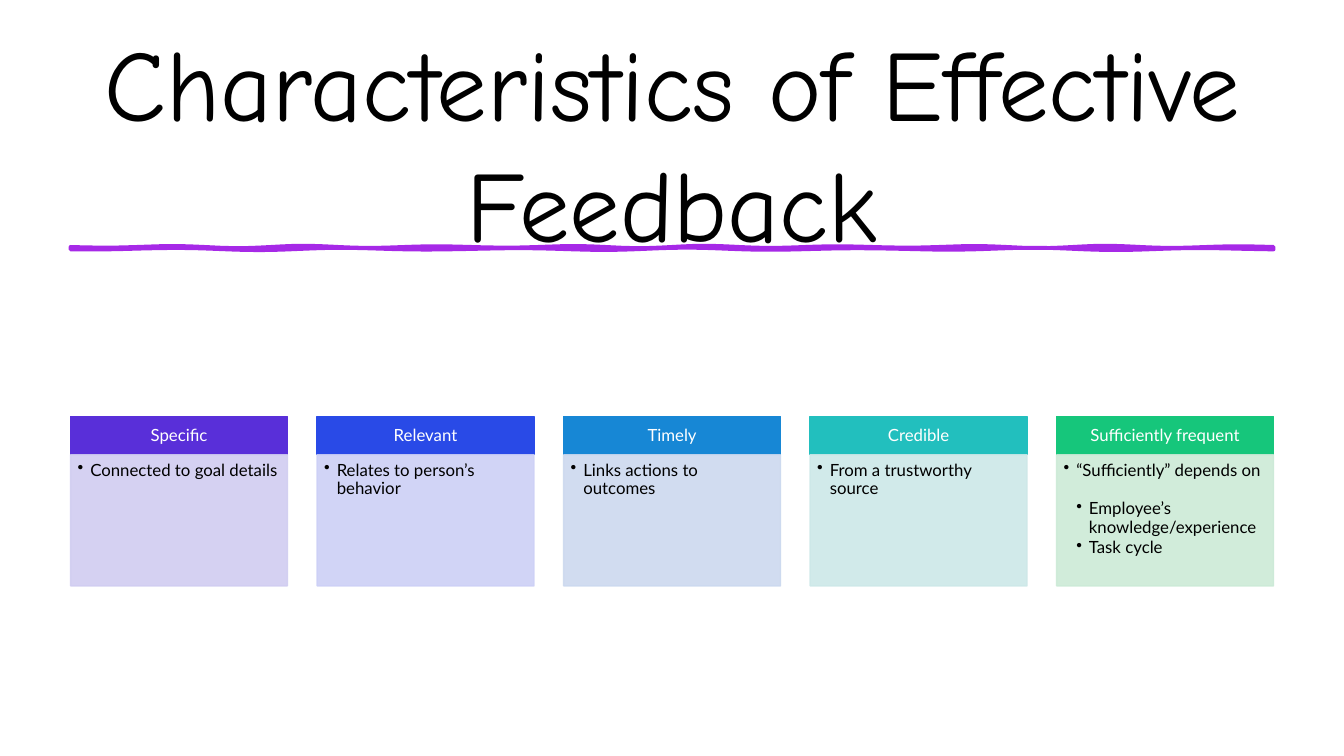
from math import pi, sin

from lxml import etree
from pptx import Presentation
from pptx.dml.color import RGBColor
from pptx.enum.shapes import MSO_SHAPE
from pptx.enum.text import MSO_ANCHOR, PP_ALIGN
from pptx.oxml.ns import qn
from pptx.util import Inches, Pt

RECT = MSO_SHAPE.RECTANGLE
TOP, MIDDLE = MSO_ANCHOR.TOP, MSO_ANCHOR.MIDDLE
LEFT, CENTER = PP_ALIGN.LEFT, PP_ALIGN.CENTER

WIDTH, HEIGHT = 13.33, 7.5
MARGIN, COL, ROW = 0.7, 2.445, 0.125
CARD, FULL = 0.88, 4.88

HEX = {
    "ink": "000000", "paper": "FFFFFF", "rule": "A629E7",
    "violet": "592FD9", "lilac": "D1CDF1",
    "blue": "294AE7", "haze": "CDD0F6",
    "azure": "1787D5", "sky": "CCD9EF",
    "teal": "22BFBE", "mist": "CDE8E8",
    "green": "16C67B", "mint": "CCEAD7",
}

# Heading, dark colour, pale colour, (level, text, space after) of each point
CARDS = [
    ("Specific", "violet", "lilac", [(0, "Connected to goal details", 2)]),
    ("Relevant", "blue", "haze", [(0, "Relates to person’s behavior", 2)]),
    ("Timely", "azure", "sky", [(0, "Links actions to outcomes", 2)]),
    ("Credible", "teal", "mist", [(0, "From a trustworthy source", 2)]),
    ("Sufficiently frequent", "green", "mint", [
        (0, "“Sufficiently” depends on", 14.5),
        (1, "Employee’s knowledge/experience", 2),
        (1, "Task cycle", 2),
    ]),
]


def color(name):
    return RGBColor.from_string(HEX[name])


class Board:
    """Draws on one slide; places are in columns and rows of its grid."""

    def __init__(self, deck):
        self.shapes = deck.slides.add_slide(deck.slide_layouts[6]).shapes
        self.body, self.title = "Lato", "Comic Neue"

    def place(self, col, row, wide, high):
        return (Inches(MARGIN + col * COL), Inches(row * ROW),
                Inches(wide * COL), Inches(high * ROW))

    def paint(self, shape, name, width=1, alpha=None):
        shape.shadow.inherit = False
        shape.line.width = Pt(width)
        for fill in (shape.fill, shape.line.fill):
            fill.solid()
            fill.fore_color.rgb = color(name)
        if alpha:
            for tone in shape._element.spPr.iter(qn("a:srgbClr")):
                etree.SubElement(tone, qn("a:alpha"), val=str(alpha * 1000))

    def panel(self, spot, name, alpha=None):
        shape = self.shapes.add_shape(RECT, *self.place(*spot))
        self.paint(shape, name, alpha=alpha)
        return shape.text_frame

    def label(self, spot):
        return self.shapes.add_textbox(*self.place(*spot)).text_frame

    def frame(self, frame, anchor, inset):
        frame.word_wrap = True
        frame.vertical_anchor = anchor
        (frame.margin_left, frame.margin_top, frame.margin_right,
         frame.margin_bottom) = map(Inches, inset)

    def text(self, para, text, font=None, size=12, ink="ink", align=LEFT,
             lead=0.9, after=0, level=None):
        """Fill a paragraph; a level makes it a bullet point."""
        para.text = text
        para.alignment = align
        para.line_spacing = lead
        para.space_after = Pt(after)
        if level is not None:
            props = para._p.get_or_add_pPr()
            props.set("marL", str(Inches(0.125 * (level + 1))))
            props.set("indent", str(Inches(-0.125)))
            etree.SubElement(props, qn("a:buChar"), char="•")
            para.level = level
        para.font.name = font or self.body
        para.font.size = Pt(size)
        para.font.color.rgb = color(ink)

    def wave(self, row, name, steps=120):
        """Draw a hand-drawn rule: a thin ribbon with two uneven edges."""
        left, top, wide, _ = self.place(0, row, FULL, 0)

        def edge(drop, beats, phase):
            for i in range(steps + 1):
                share = i / steps
                swing = sin(2 * pi * beats * share + phase)
                swell = 0.006 + 0.006 * sin(3 * pi * share) ** 2
                yield left + wide * share, top + Inches(drop + swell * swing)

        points = [*edge(0, 9, 0), *reversed([*edge(0.02, 7, 1)])]
        pen = self.shapes.build_freeform(*map(int, points[0]))
        pen.add_line_segments([(int(x), int(y)) for x, y in points[1:]])
        self.paint(pen.convert_to_shape(), name, width=2.75)

    def card(self, col, head, dark, pale, points):
        frame = self.panel((col, 33.05, CARD, 3.05), dark)
        self.frame(frame, MIDDLE, (0.09, 0.05, 0.09, 0.05))
        self.text(frame.paragraphs[0], head, ink="paper", align=CENTER)
        frame = self.panel((col, 36.1, CARD, 10.4), pale, alpha=90)
        self.frame(frame, TOP, (0.07, 0.07, 0.09, 0.1))
        for i, (level, text, after) in enumerate(points):
            para = frame.add_paragraph() if i else frame.paragraphs[0]
            self.text(para, text, level=level, after=after)


def main():
    deck = Presentation()
    deck.slide_width, deck.slide_height = Inches(WIDTH), Inches(HEIGHT)
    board = Board(deck)
    title = board.label((0, 5.5, FULL, 11.5))
    board.frame(title, MIDDLE, (0.1, 0.05, 0.1, 0.05))
    board.text(title.paragraphs[0], "Characteristics of Effective Feedback",
               font=board.title, size=72, align=CENTER, lead=1.0)
    board.wave(19.6, "rule")
    for col, card in enumerate(CARDS):
        board.card(col, *card)
    deck.save("out.pptx")


if __name__ == "__main__":
    main()
